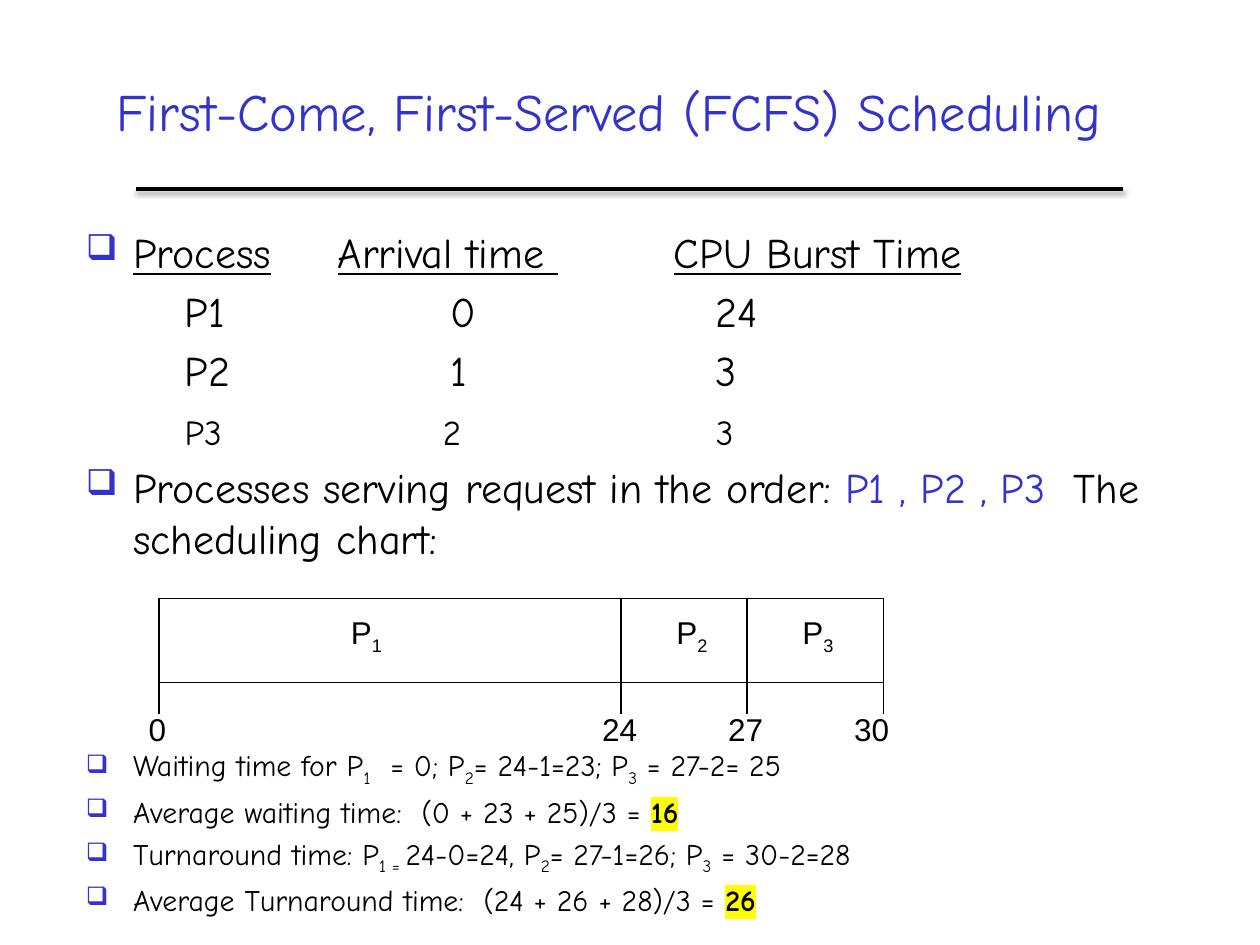
from dataclasses import dataclass, field
from typing import NamedTuple

from lxml import etree
from pptx import Presentation
from pptx.dml.color import RGBColor
from pptx.enum.shapes import MSO_CONNECTOR, MSO_SHAPE
from pptx.enum.text import MSO_ANCHOR, PP_ALIGN
from pptx.oxml.ns import qn
from pptx.util import Emu, Inches, Pt

STRAIGHT, RECTANGLE = MSO_CONNECTOR.STRAIGHT, MSO_SHAPE.RECTANGLE
TOP, MIDDLE = MSO_ANCHOR.TOP, MSO_ANCHOR.MIDDLE
LEFT, CENTER = PP_ALIGN.LEFT, PP_ALIGN.CENTER

SLIDE_WIDTH, SLIDE_HEIGHT = Inches(10), Inches(7.5)
COLUMNS, ROWS = 120, 90


@dataclass(frozen=True)
class Theme:
    ink: str = "000000"
    accent: str = "3333CC"
    paper: str = "FFFFFF"
    marker: str = "FFFF00"
    body_font: str = "Comic Neue"
    chart_font: str = "Arial"
    title: float = 30
    large: float = 24
    medium: float = 20
    chart: float = 18
    small: float = 17
    gap: float = 4.8
    note_gap: float = 3.4
    chart_room: float = 105.4
    thin: float = 0.75
    thick: float = 2


THEME = Theme()


class Area(NamedTuple):
    """Left, top, width and height in grid columns and rows."""
    left: float
    top: float
    width: float
    height: float


@dataclass(frozen=True)
class Span:
    text: str
    size: float = THEME.large
    color: str = THEME.ink
    font: str = THEME.body_font
    formats: dict = field(default_factory=dict)
    subscript: bool = False
    marker: str = ""


@dataclass(frozen=True)
class Para:
    spans: list
    bullet: bool = False
    tabs: tuple = ()
    before: float = THEME.gap
    align: PP_ALIGN = LEFT


class Label(NamedTuple):
    center: float
    top: float
    spans: list


def across(columns: float) -> Emu:
    return Emu(round(SLIDE_WIDTH * columns / COLUMNS))


def down(rows: float) -> Emu:
    return Emu(round(SLIDE_HEIGHT * rows / ROWS))


def place(area: Area) -> tuple:
    return across(area.left), down(area.top), across(area.width), down(area.height)


def add_node(parent, tag: str, **attributes):
    node = etree.SubElement(parent, qn(tag))
    for name, value in attributes.items():
        node.set(name, str(value))
    return node


def write_span(paragraph, span: Span) -> None:
    run = paragraph.add_run()
    run.text = span.text
    formats = {"size": Pt(span.size), "name": span.font, **span.formats}
    for name, value in formats.items():
        setattr(run.font, name, value)
    run.font.color.rgb = RGBColor.from_string(span.color)
    properties = run._r.get_or_add_rPr()
    if span.subscript:
        properties.set("baseline", "-25000")
    if span.marker:
        highlight = add_node(properties, "a:highlight")
        add_node(highlight, "a:srgbClr", val=span.marker)
        properties.find(qn("a:latin")).addprevious(highlight)


def write_para(paragraph, para: Para) -> None:
    paragraph.alignment = para.align
    paragraph.space_before = Pt(para.before)
    properties = paragraph._p.get_or_add_pPr()
    if para.bullet:
        indent = across(4.5)
        properties.set("marL", str(indent))
        properties.set("indent", str(-indent))
        add_node(add_node(properties, "a:buClr"), "a:srgbClr", val=THEME.accent)
        add_node(properties, "a:buSzPct", val=85000)
        add_node(properties, "a:buChar", char="❑")
    if para.tabs:
        tab_list = add_node(properties, "a:tabLst")
        for stop in para.tabs:
            add_node(tab_list, "a:tab", pos=across(stop), algn="l")
    for span in para.spans:
        write_span(paragraph, span)


def add_text(shapes, area: Area, paras: list, anchor=TOP) -> None:
    frame = shapes.add_textbox(*place(area)).text_frame
    frame.word_wrap, frame.vertical_anchor = True, anchor
    for index, para in enumerate(paras):
        write_para(frame.add_paragraph() if index else frame.paragraphs[0], para)


def add_line(shapes, start: tuple, end: tuple, width: float, shadow: bool = False) -> None:
    line = shapes.add_connector(STRAIGHT, across(start[0]), down(start[1]),
                                across(end[0]), down(end[1]))
    line.line.color.rgb = RGBColor.from_string(THEME.ink)
    line.line.width = Pt(width)
    effects = add_node(line._element.spPr, "a:effectLst")
    if shadow:
        outer = add_node(effects, "a:outerShdw", blurRad=Pt(3.1), dist=Pt(1.6),
                         dir=5400000, rotWithShape=0)
        add_node(add_node(outer, "a:srgbClr", val=THEME.ink), "a:alpha", val=38000)


def small_spans(*texts: str) -> list:
    """Alternate normal and subscript spans."""
    return [Span(text, THEME.small, subscript=index % 2 == 1)
            for index, text in enumerate(texts)]


def result(text: str, value: str) -> list:
    return [Span(text, THEME.small),
            Span(value, THEME.small, formats={"bold": True}, marker=THEME.marker)]


def process_row(values: tuple, size: float, arrival_stop: float) -> Para:
    return Para([Span("\t"), Span("\t".join(values), size)], tabs=(9.4, arrival_stop, 60))


def body_paras() -> list:
    underlined = {"underline": True}
    header = [Span("Process", formats=underlined), Span("\t"),
              Span("Arrival time ", formats=underlined), Span("\t"),
              Span("CPU Burst Time", formats=underlined)]
    order = [Span("Processes serving request in the order: "),
             Span("P1 , P2 , P3", color=THEME.accent),
             Span("  The scheduling chart:")]
    notes = [
        small_spans("Waiting time for P", "1", "  = 0; P", "2", "= 24-1=23; P", "3", " = 27-2= 25"),
        result("Average waiting time:  (0 + 23 + 25)/3 = ", "16"),
        small_spans("Turnaround time: P", "1 = ", "24-0=24, P", "2", "= 27-1=26; P", "3",
                    " = 30-2=28"),
        result("Average Turnaround time:  (24 + 26 + 28)/3 = ", "26"),
    ]
    return [
        Para(header, bullet=True, tabs=(24, 56)),
        process_row(("P1", "0", "24"), THEME.large, 34.7),
        process_row(("P2", "1", "3"), THEME.large, 34.7),
        process_row(("P3", "2", "3"), THEME.medium, 34),
        Para(order, bullet=True),
        *(Para(spans, bullet=True, before=THEME.note_gap if index else THEME.chart_room)
          for index, spans in enumerate(notes)),
    ]


def chart_span(text: str, subscript: bool = False) -> Span:
    return Span(text, THEME.chart, font=THEME.chart_font, subscript=subscript)


def draw_schedule(shapes) -> None:
    top, bottom, tick_end = 57, 65, 68
    edges = (15.15, 59.15, 71.15, 84.15)
    bar = shapes.add_shape(RECTANGLE, *place(Area(edges[0], top, edges[-1] - edges[0], bottom - top)))
    bar.shadow.inherit = False
    bar.fill.solid()
    bar.fill.fore_color.rgb = RGBColor.from_string(THEME.paper)
    bar.line.color.rgb = RGBColor.from_string(THEME.ink)
    bar.line.width = Pt(THEME.thin)
    for edge in edges:
        start = top if edge in edges[1:-1] else bottom
        add_line(shapes, (edge, start), (edge, tick_end), THEME.thin)

    labels = [Label(center, 58, [chart_span("P"), chart_span(str(number), True)])
              for number, center in enumerate((34.9, 65.9, 77.9), 1)]
    labels += [Label(center, 67, [chart_span(time)])
               for center, time in zip((15, 59, 71, 83), ("0", "24", "27", "30"))]
    width = 8
    for label in labels:
        add_text(shapes, Area(label.center - width / 2, label.top, width, 4.8),
                 [Para(label.spans, before=0, align=CENTER)], MIDDLE)


def main() -> None:
    deck = Presentation()
    deck.slide_width, deck.slide_height = SLIDE_WIDTH, SLIDE_HEIGHT
    page = deck.slides.add_slide(deck.slide_layouts[6])
    heading = Span("First-Come, First-Served (FCFS) Scheduling", THEME.title, THEME.accent)
    add_text(page.shapes, Area(7, 3, 102, 15), [Para([heading], before=0, align=CENTER)], MIDDLE)
    add_text(page.shapes, Area(7, 21, 109, 69), body_paras())
    draw_schedule(page.shapes.add_group_shape().shapes)
    add_line(page.shapes, (13, 18), (107, 18), THEME.thick, shadow=True)
    deck.save("out.pptx")


if __name__ == "__main__":
    main()
